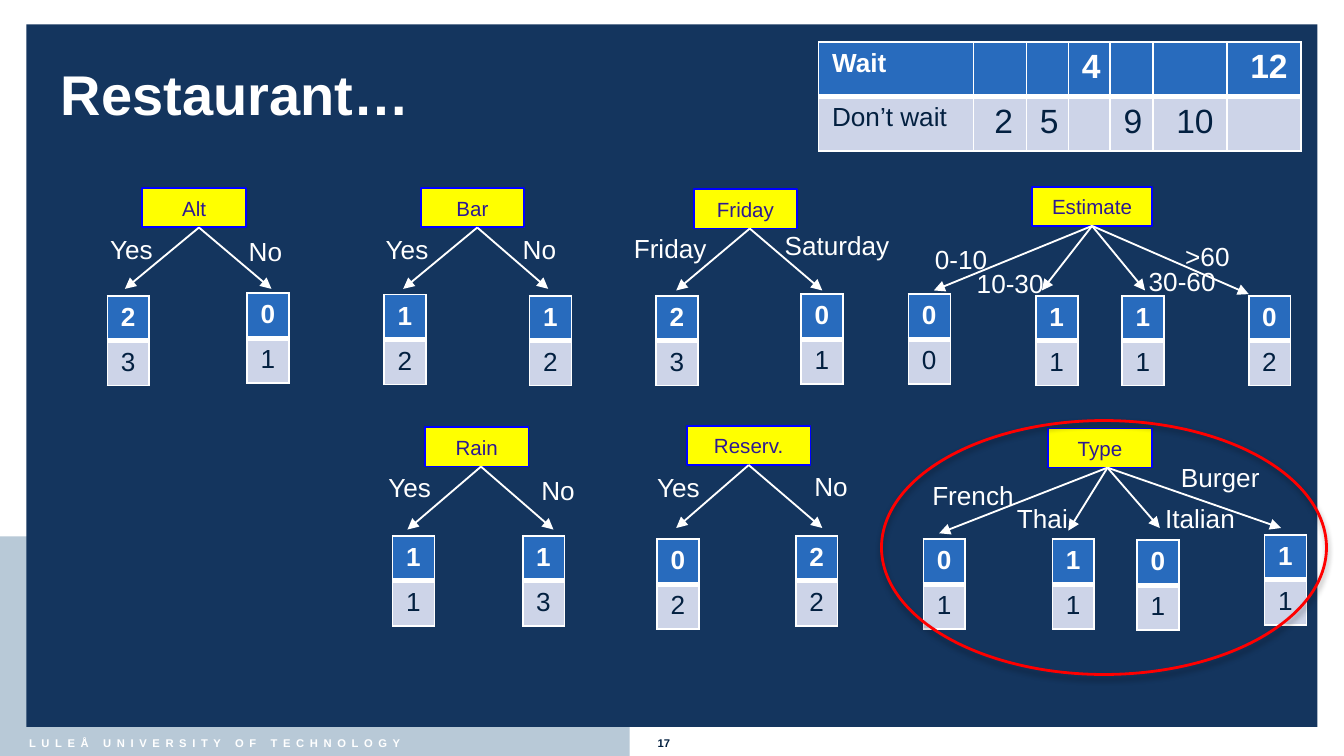
from collections import namedtuple

from lxml.etree import SubElement
from pptx import Presentation
from pptx.dml.color import RGBColor
from pptx.enum.shapes import MSO_CONNECTOR as Conn, MSO_SHAPE as Shape
from pptx.enum.text import MSO_ANCHOR as Anchor, MSO_AUTO_SIZE as AutoSize, PP_ALIGN as Align
from pptx.oxml.ns import qn
from pptx.util import Cm, Pt

WHITE = RGBColor(0xFF, 0xFF, 0xFF)
NAVY = RGBColor(0x14, 0x35, 0x5E)
MIST = RGBColor(0xB8, 0xC9, 0xD7)
INK = RGBColor(0x03, 0x20, 0x40)
YELLOW = RGBColor(0xFF, 0xFF, 0x00)
BLUE = RGBColor(0x00, 0x00, 0xFF)
PURPLE = RGBColor(0x2D, 0x19, 0x93)
HEADER = RGBColor(0x28, 0x6B, 0xBD)
BODY = RGBColor(0xCD, 0xD4, 0xE8)
RED = RGBColor(0xFF, 0x00, 0x00)

NODE_HEIGHT = 0.74
LABEL_WIDTHS = {
    "Yes": 1.32, "No": 1.14, "Friday": 1.9, "Saturday": 2.51,
    "0-10": 1.5, "10-30": 1.78, "30-60": 1.78, ">60": 1.35,
    "French": 2.06, "Thai": 1.47, "Italian": 1.83, "Burger": 2.01,
}

Tree = namedtuple("Tree", "name x y width apex branches")
Branch = namedtuple("Branch", "label label_at tip leaf_at wait dont_wait")

TREES = [
    Tree("Alt", 2.69, 3.56, 1.96, 3.76, [
        Branch("Yes", (1.83, 4.29), (2.36, 5.46), (2.03, 5.59), 2, 3),
        Branch("No", (4.45, 4.32), (5.13, 5.46), (4.67, 5.54), 0, 1)]),
    Tree("Bar", 7.95, 3.56, 1.96, 9.02, [
        Branch("Yes", (7.04, 4.29), (7.62, 5.46), (7.26, 5.57), 1, 2),
        Branch("No", (9.63, 4.29), (10.36, 5.46), (10.01, 5.59), 1, 2)]),
    Tree("Friday", 13.11, 3.58, 1.96, 14.17, [
        Branch("Friday", (11.73, 4.27), (12.78, 5.49), (12.4, 5.59), 2, 3),
        Branch("Saturday", (14.58, 4.22), (15.54, 5.49), (15.14, 5.56), 0, 1)]),
    Tree("Estimate", 19.51, 3.53, 2.26, None, [
        Branch("0-10", (17.42, 4.47), (17.65, 5.49), (17.17, 5.56), 0, 0),
        Branch("10-30", (18.21, 4.93), (19.69, 5.49), (19.58, 5.59), 1, 1),
        Branch("30-60", (21.46, 4.9), (21.64, 5.49), (21.21, 5.59), 1, 1),
        Branch(">60", (22.15, 4.42), (23.6, 5.56), (23.6, 5.59), 0, 2)]),
    Tree("Rain", 8.03, 8.08, 1.96, 9.09, [
        Branch("Yes", (7.09, 8.79), (7.7, 10.01), (7.42, 10.13), 1, 1),
        Branch("No", (9.98, 8.84), (10.46, 10.01), (9.88, 10.13), 1, 3)]),
    Tree("Reserv.", 12.98, 8.05, 2.34, None, [
        Branch("Yes", (12.17, 8.79), (12.78, 9.98), (12.42, 10.19), 0, 2),
        Branch("No", (15.14, 8.76), (15.54, 9.98), (15.04, 10.13), 2, 2)]),
    Tree("Type", 19.81, 8.1, 1.96, 20.93, [
        Branch("French", (17.37, 8.94), (17.75, 10.08), (17.45, 10.19), 0, 1),
        Branch("Thai", (18.97, 9.37), (20.19, 10.03), (19.89, 10.19), 1, 1),
        Branch("Italian", (21.77, 9.37), (21.92, 9.98), (21.49, 10.21), 0, 1),
        Branch("Burger", (22.07, 8.59), (24.21, 9.98), (23.9, 10.11), 1, 1)]),
]


class SlideBuilder:
    font = "Arial"

    def __init__(self, slide):
        self.shapes = slide.shapes

    def style(self, p, size, color, bold=False):
        for r in p.runs:
            r.font.name = self.font
            r.font.size = Pt(size)
            r.font.bold = bold
            r.font.color.rgb = color

    def shape(self, kind, x, y, w, h, fill=None, line=None, weight=1):
        sp = self.shapes.add_shape(kind, Cm(x), Cm(y), Cm(w), Cm(h))
        sp.shadow.inherit = False
        if fill is None:
            sp.fill.background()
        else:
            sp.fill.solid()
            sp.fill.fore_color.rgb = fill
        if line is None:
            sp.line.fill.background()
        else:
            sp.line.color.rgb = line
            sp.line.width = Pt(weight)
        return sp

    def text(self, text, x, y, w, h, size, color=WHITE, bold=False, wrap=True, anchor=Anchor.TOP):
        tf = self.shapes.add_textbox(Cm(x), Cm(y), Cm(w), Cm(h)).text_frame
        tf.text = text
        tf.word_wrap = wrap
        tf.vertical_anchor = anchor
        if not wrap:
            tf.auto_size = AutoSize.SHAPE_TO_FIT_TEXT
        self.style(tf.paragraphs[0], size, color, bold)
        return tf.paragraphs[0]

    def node(self, text, x, y, w):
        sp = self.shape(Shape.RECTANGLE, x, y, w, NODE_HEIGHT, YELLOW, BLUE)
        tf = sp.text_frame
        tf.text = text
        tf.vertical_anchor = Anchor.MIDDLE
        tf.paragraphs[0].alignment = Align.CENTER
        self.style(tf.paragraphs[0], 11, PURPLE)
        return sp

    def arrow(self, start, end, node=None):
        cn = self.shapes.add_connector(Conn.STRAIGHT, *map(Cm, start + end))
        if node is not None:
            cn.begin_connect(node, 2)
        cn.line.color.rgb = WHITE
        cn.line.width = Pt(1)
        SubElement(cn.line._get_or_add_ln(), qn("a:tailEnd"), type="triangle")
        SubElement(cn._element.spPr, qn("a:effectLst"))

    def border(self, cell, side, weight):
        ln = SubElement(cell._tc.get_or_add_tcPr(), qn(f"a:ln{side}"), w=str(Pt(weight)))
        SubElement(SubElement(ln, qn("a:solidFill")), qn("a:srgbClr"), val=str(WHITE))

    def table(self, x, y, rows, widths, row_height):
        frame = self.shapes.add_table(len(rows), len(widths), Cm(x), Cm(y),
                                      Cm(sum(widths)), Cm(row_height * len(rows)))
        table = frame.table
        for column, width in zip(table.columns, widths):
            column.width = Cm(width)
        for i, values in enumerate(rows):
            for j, value in enumerate(values):
                cell = table.cell(i, j)
                for side in "LRTB":
                    divider = (i, side) in ((0, "B"), (1, "T"))
                    self.border(cell, side, 3 if divider else 1)
                cell.fill.solid()
                cell.fill.fore_color.rgb = BODY if i else HEADER
                cell.text = str(value)
                p = cell.text_frame.paragraphs[0]
                p.alignment = Align.RIGHT if j else Align.LEFT
                self.style(p, 18 if j else 14, INK if i else WHITE, not i)

    def tree(self, tree):
        node = self.node(tree.name, tree.x, tree.y, tree.width)
        joined = node if tree.apex is None else None
        start = (tree.apex or tree.x + tree.width / 2, tree.y + NODE_HEIGHT)
        for branch in tree.branches:
            self.arrow(start, branch.tip, joined)
            self.text(branch.label, *branch.label_at, LABEL_WIDTHS[branch.label], 0.86, 14, wrap=False)
            self.table(*branch.leaf_at, [[branch.wait], [branch.dont_wait]], [0.79], 0.85)

    def highlight(self, x, y, w, h):
        sp = self.shape(Shape.OVAL, x, y, w, h, line=RED, weight=1.5)
        effects = sp._element.spPr.find(qn("a:effectLst"))
        shadow = SubElement(effects, qn("a:outerShdw"), blurRad=str(Pt(3.1)),
                            dist=str(Pt(1.8)), dir="5400000", rotWithShape="0")
        color = SubElement(shadow, qn("a:srgbClr"), val="000000")
        SubElement(color, qn("a:alpha"), val="35000")


def main():
    prs = Presentation()
    prs.slide_width, prs.slide_height = Cm(25.4), Cm(14.29)
    s = SlideBuilder(prs.slides.add_slide(prs.slide_layouts[6]))

    s.shape(Shape.RECTANGLE, 0, 10.14, 11.9, 4.15, MIST)
    s.shape(Shape.RECTANGLE, 0.5, 0.46, 24.4, 13.28, NAVY)
    footer = s.text("LULEÅ UNIVERSITY OF TECHNOLOGY", 0.3, 13.79, 9, 0.5, 6, bold=True)
    footer.runs[0].font._element.set("spc", "300")
    s.text("17", 12.18, 13.79, 0.9, 0.5, 6, INK, bold=True)
    s.text("Restaurant…", 0.9, 0.5, 14, 2.52, 30, bold=True, anchor=Anchor.MIDDLE)

    for tree in TREES:
        s.tree(tree)
    s.table(15.47, 0.79, [["Wait", "", "", 4, "", "", 12],
                          ["Don’t wait", 2, 5, "", 9, 10, ""]],
            [2.93, 1, 0.79, 0.79, 0.81, 1.4, 1.4], 1.03)
    s.highlight(16.66, 7.95, 8.41, 4.8)
    prs.save("out.pptx")


if __name__ == "__main__":
    main()
